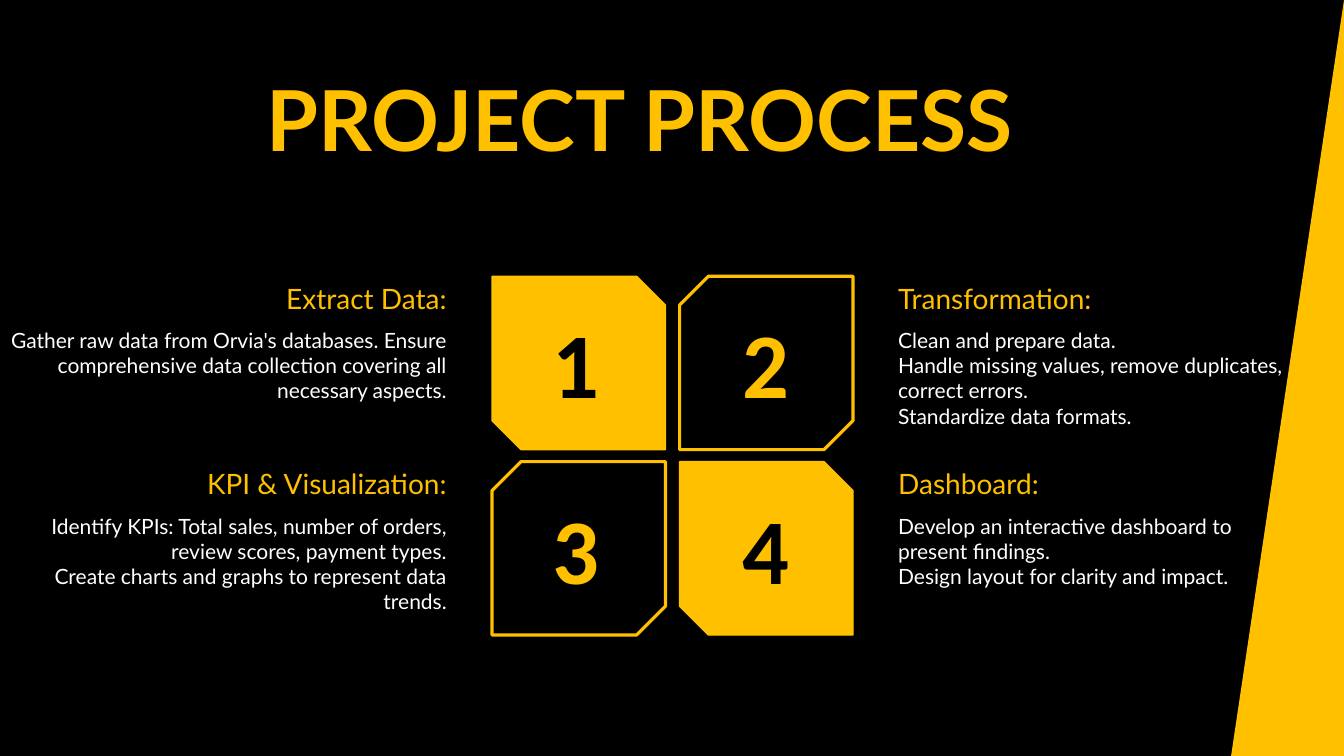
from pptx import Presentation
from pptx.dml.color import RGBColor
from pptx.enum.shapes import MSO_SHAPE
from pptx.enum.text import MSO_ANCHOR, MSO_AUTO_SIZE, PP_ALIGN
from pptx.util import Inches, Pt

SNIPPED = MSO_SHAPE.SNIP_2_DIAG_RECTANGLE
TRIANGLE = MSO_SHAPE.ISOSCELES_TRIANGLE
MIDDLE = MSO_ANCHOR.MIDDLE
NO_AUTOFIT = MSO_AUTO_SIZE.NONE
LEFT, CENTER, RIGHT = PP_ALIGN.LEFT, PP_ALIGN.CENTER, PP_ALIGN.RIGHT

GOLD, BLACK, WHITE = "FFC000", "000000", "FFFFFF"
TILE_SIZE = 1.72
TILE_LEFTS = (4.88, 6.74)
ROW_TOPS = (2.74, 4.58)
SNIP = 0.16667

STEPS = [
    ("Extract Data:", 4.53,
     ["Gather raw data from Orvia's databases. Ensure comprehensive data "
      "collection covering all necessary aspects."]),
    ("Transformation:", 4.44,
     ["Clean and prepare data.",
      "Handle missing values, remove duplicates, correct errors.",
      "Standardize data formats."]),
    ("KPI & Visualization:", 4.38,
     ["Identify KPIs: Total sales, number of orders, review scores, payment types.",
      "Create charts and graphs to represent data trends."]),
    ("Dashboard:", 3.62,
     ["Develop an interactive dashboard to present findings.",
      "Design layout for clarity and impact."]),
]


def color(value):
    return RGBColor.from_string(value)


def write(shape, lines, size, font_color, align, font_name="Lato", bold=False):
    text_frame = shape.text_frame
    text_frame.word_wrap = True
    text_frame.text = "\n".join(lines)
    for paragraph in text_frame.paragraphs:
        paragraph.alignment = align
        for run in paragraph.runs:
            run.font.name = font_name
            run.font.size = Pt(size)
            run.font.bold = bold
            run.font.color.rgb = color(font_color)


presentation = Presentation()
presentation.slide_width = Inches(13.33)
presentation.slide_height = Inches(7.5)
slide = presentation.slides.add_slide(presentation.slide_layouts[5])
slide.background.fill.solid()
slide.background.fill.fore_color.rgb = color(BLACK)
shapes = slide.shapes

title = shapes.title
title.left, title.top = Inches(2.54), Inches(0.73)
title.width, title.height = Inches(8.52), Inches(1.01)
write(title, ["PROJECT PROCESS"], 60, GOLD, LEFT, bold=True)
title.text_frame.auto_size = NO_AUTOFIT
title.text_frame.vertical_anchor = MIDDLE
title.text_frame.paragraphs[0].line_spacing = 0.9

for index, (heading, body_width, lines) in enumerate(STEPS):
    row, column = divmod(index, 2)
    top, tile_left = ROW_TOPS[row], TILE_LEFTS[column]
    filled = row == column

    tile = shapes.add_shape(SNIPPED, Inches(tile_left), Inches(top),
                            Inches(TILE_SIZE), Inches(TILE_SIZE))
    tile.shadow.inherit = False
    tile.line.color.rgb = color(GOLD)
    if filled:
        tile.fill.solid()
        tile.fill.fore_color.rgb = color(GOLD)
        tile.line.width = Pt(1)
    else:
        tile.fill.background()
        tile.line.width = Pt(2.25)
    tile.adjustments[0] = 0 if filled else SNIP
    tile.adjustments[1] = SNIP if filled else 0

    number = shapes.add_textbox(Inches(4.92 + column * 1.88), Inches(top + 0.25),
                                Inches(1.59), Inches(1.21))
    write(number, [str(index + 1)], 66, BLACK if filled else GOLD, CENTER,
          font_name="Calibri", bold=True)

    align = LEFT if column else RIGHT
    texts = [
        ([heading], 0, 2.85 if column else 3.53, 0.44, 20, GOLD),
        (lines, 0.46, body_width, 0.86 if len(lines) == 1 else 1.11, 15, WHITE),
    ]
    for text_lines, offset, width, height, size, font_color in texts:
        left = 8.81 if column else 4.53 - width
        box = shapes.add_textbox(Inches(left), Inches(top + offset),
                                 Inches(width), Inches(height))
        write(box, text_lines, size, font_color, align)

wedge = shapes.add_shape(TRIANGLE, Inches(12.21), 0, Inches(1.12), Inches(7.5))
wedge.adjustments[0] = 1
wedge.shadow.inherit = False
wedge.fill.solid()
wedge.fill.fore_color.rgb = color(GOLD)
wedge.line.fill.background()

presentation.save("out.pptx")
